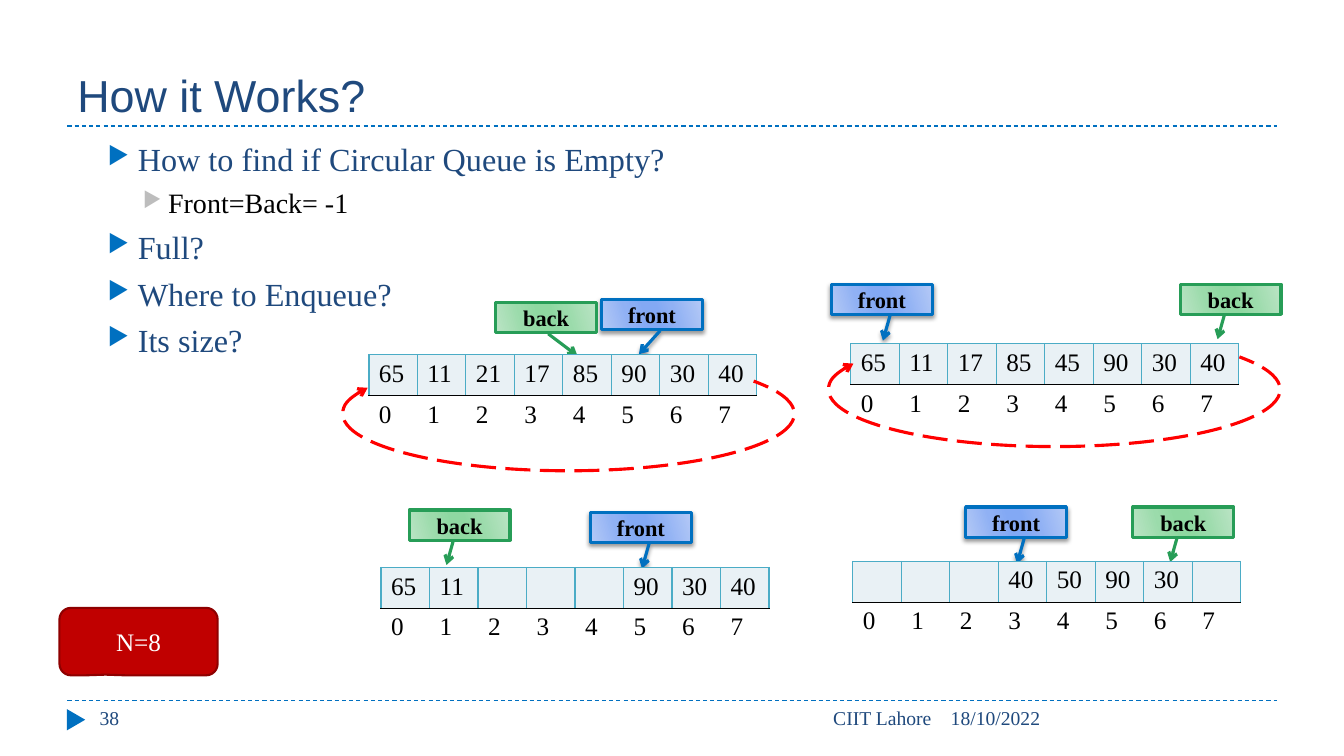
from lxml.etree import SubElement
from pptx import Presentation
from pptx.dml.color import RGBColor
from pptx.enum.dml import MSO_LINE
from pptx.enum.shapes import MSO_CONNECTOR, MSO_SHAPE
from pptx.enum.text import MSO_ANCHOR, PP_ALIGN
from pptx.oxml.ns import qn
from pptx.util import Pt

SERIF = "Times New Roman"
COLORS = {
    "navy": "1F497D", "blue": "0070C0", "gray": "BDBDBD", "black": "000000",
    "white": "FFFFFF", "green": "279D57", "cell": "E9F1F5", "teal": "4BACC6",
    "red": "FF0000", "crimson": "C00000", "maroon": "8E0000",
}
TITLE = "How it Works?"
POINTS = [
    (1, "How to find if Circular Queue is Empty?"),
    (2, "Front=Back= -1"),
    (1, "Full?"),
    (1, "Where to Enqueue?"),
    (1, "Its size?"),
]
LEVELS = {
    1: {"margin": 43.2, "indent": -21.6, "bullet": "blue", "size": 23, "color": "navy"},
    2: {"margin": 64.8, "indent": -18, "bullet": "gray", "size": 20, "color": "black"},
}
FOOTERS = [
    ("18/10/2022", 672, 240, PP_ALIGN.LEFT),
    ("CIIT Lahore", 304.6, 367.9, PP_ALIGN.RIGHT),
    ("38", 64.1, 208, PP_ALIGN.LEFT),
]
TAGS = {
    "front": ("blue", ["B4C9F6", "90B1F4", "83A9F4", "83A9F4", "90B1F4", "B4C9F6"]),
    "back": ("green", ["BBE4C5", "9BDBAB", "8FD8A1", "8FD8A1", "9BDBAB", "BBE4C5"]),
}
GRADIENT_STOPS = [0, 30, 45, 55, 73, 100]
FRONT_POINTER = (1.04, 0.42, 1.87, 0.49)
BACK_POINTER = (0.99, 0.56, 1.82, 0.63)
QUEUES = [
    {"at": (263.5, 253.4), "values": [65, 11, 21, 17, 85, 90, 30, 40],
     "arc": (244.8, 254.9),
     "tags": [("front", 429.8, 213.8, (1.04, 0.42, 1.82, 0.63)),
              ("back", 354.2, 216, (1.04, 0.48, 1.77, 0.19))]},
    {"at": (607.7, 245.5), "values": [65, 11, 17, 85, 45, 90, 30, 40],
     "arc": (591.8, 237.6),
     "tags": [("front", 594, 203, FRONT_POINTER), ("back", 843.1, 203, BACK_POINTER)]},
    {"at": (272.2, 405.4), "values": [65, 11, "", "", "", 90, 30, 40],
     "arc": None,
     "tags": [("front", 421.9, 365.8, FRONT_POINTER), ("back", 292.3, 364.3, BACK_POINTER)]},
    {"at": (609.1, 401), "values": ["", "", "", 40, 50, 90, 30, ""],
     "arc": None,
     "tags": [("front", 689.8, 362.2, FRONT_POINTER), ("back", 809.3, 362.2, BACK_POINTER)]},
]
CELL_WIDTH, CELL_HEIGHT = 34.65, 29.2
NO_STYLE = "{2D5ABB26-0587-4C30-8999-92F81FD0307C}"


def rgb(name):
    return RGBColor.from_string(COLORS[name])


def add_run(paragraph, text, size, color, font=SERIF, bold=False):
    run = paragraph.add_run()
    run.text = text
    run.font.name = font
    run.font.size = Pt(size)
    run.font.bold = bold
    run.font.color.rgb = rgb(color)


def add_box(slide, left, top, width, height, anchor=MSO_ANCHOR.TOP):
    box = slide.shapes.add_textbox(Pt(left), Pt(top), Pt(width), Pt(height))
    box.text_frame.word_wrap = True
    box.text_frame.vertical_anchor = anchor
    return box.text_frame


def add_preset(slide, kind, left, top, width, height, adjustments=()):
    shape = slide.shapes.add_shape(kind, Pt(left), Pt(top), Pt(width), Pt(height))
    shape.shadow.inherit = False
    for index, value in enumerate(adjustments):
        shape.adjustments[index] = value
    return shape


def set_line(shape, color, width):
    shape.line.color.rgb = rgb(color)
    shape.line.width = Pt(width)


def set_label(shape, text, size, color, bold=False):
    shape.text_frame.vertical_anchor = MSO_ANCHOR.MIDDLE
    paragraph = shape.text_frame.paragraphs[0]
    paragraph.alignment = PP_ALIGN.CENTER
    add_run(paragraph, text, size, color, bold=bold)


def add_rule(slide, y):
    rule = slide.shapes.add_connector(MSO_CONNECTOR.STRAIGHT, Pt(48.2), Pt(y), Pt(912.2), Pt(y))
    set_line(rule, "blue", 0.75)
    rule.line.dash_style = MSO_LINE.DASH
    SubElement(rule._element.spPr, qn("a:effectLst"))


def add_points(slide):
    frame = add_box(slide, 48.2, 95.8, 864, 388.8)
    for index, (level, text) in enumerate(POINTS):
        style = LEVELS[level]
        paragraph = frame.paragraphs[0] if index == 0 else frame.add_paragraph()
        if index:
            paragraph.space_before = Pt(5.75)
        properties = paragraph._p.get_or_add_pPr()
        properties.set("marL", str(Pt(style["margin"])))
        properties.set("indent", str(Pt(style["indent"])))
        bullet_color = SubElement(properties, qn("a:buClr"))
        SubElement(bullet_color, qn("a:srgbClr"), val=COLORS[style["bullet"]])
        SubElement(properties, qn("a:buSzPct"), val="76000")
        SubElement(properties, qn("a:buChar"), char="▶")
        add_run(paragraph, text, style["size"], style["color"])


def add_tag(slide, text, left, top, pointer):
    color, shades = TAGS[text]
    tag = add_preset(slide, MSO_SHAPE.LINE_CALLOUT_1, left, top, 72, 21.6, pointer)
    properties = tag._element.spPr
    properties.find(qn("a:xfrm")).set("flipH", "1")
    tag.fill.gradient()
    tag.fill.gradient_angle = 344
    stops = properties.find(qn("a:gradFill")).find(qn("a:gsLst"))
    for stop in list(stops):
        stops.remove(stop)
    for position, shade in zip(GRADIENT_STOPS, shades):
        stop = SubElement(stops, qn("a:gs"), pos=str(position * 1000))
        SubElement(stop, qn("a:srgbClr"), val=shade)
    set_line(tag, color, 2.25)
    SubElement(properties.find(qn("a:ln")), qn("a:tailEnd"), type="arrow")
    if text == "front":
        shadow = SubElement(properties.find(qn("a:effectLst")), qn("a:outerShdw"),
                            blurRad=str(Pt(3)), dist=str(Pt(2)), dir="5400000", rotWithShape="0")
        shadow_color = SubElement(shadow, qn("a:srgbClr"), val=COLORS["black"])
        SubElement(shadow_color, qn("a:alpha"), val="40000")
    set_label(tag, text, 16, "black", bold=True)


def add_border(cell, side, color):
    border = SubElement(cell._tc.get_or_add_tcPr(), qn("a:" + side), w=str(Pt(1)))
    fill = SubElement(border, qn("a:solidFill"))
    SubElement(fill, qn("a:srgbClr"), val=COLORS[color])


def add_queue(slide, left, top, values):
    count = len(values)
    frame = slide.shapes.add_table(2, count, Pt(left), Pt(top),
                                   Pt(CELL_WIDTH * count), Pt(CELL_HEIGHT * 2))
    table = frame.table
    table.first_row = table.horz_banding = False
    table._tbl.tblPr.find(qn("a:tableStyleId")).text = NO_STYLE
    for column in table.columns:
        column.width = Pt(CELL_WIDTH)
    for row_index, row_values in enumerate((values, range(count))):
        table.rows[row_index].height = Pt(CELL_HEIGHT)
        for column_index, value in enumerate(row_values):
            cell = table.cell(row_index, column_index)
            if row_index == 0:
                for side in ("lnL", "lnR", "lnT"):
                    add_border(cell, side, "teal")
                add_border(cell, "lnB", "black")
                cell.fill.solid()
                cell.fill.fore_color.rgb = rgb("cell")
            else:
                add_border(cell, "lnT", "black")
                cell.fill.background()
            if value != "":
                add_run(cell.text_frame.paragraphs[0], str(value), 18, "black")


def add_wrap_arrow(slide, left, top):
    arc = add_preset(slide, MSO_SHAPE.ARC, left, top, 322.6, 81.4, (103.57, 6))
    arc._element.spPr.find(qn("a:xfrm")).set("flipV", "1")
    arc.fill.background()
    set_line(arc, "red", 2.25)
    arc.line.dash_style = MSO_LINE.LONG_DASH
    SubElement(arc._element.spPr.find(qn("a:ln")), qn("a:headEnd"), type="arrow")


def main():
    presentation = Presentation()
    presentation.slide_width, presentation.slide_height = Pt(960), Pt(540)
    slide = presentation.slides.add_slide(presentation.slide_layouts[6])
    for y in (500.4, 90):
        add_rule(slide, y)
    marker = add_preset(slide, MSO_SHAPE.ISOSCELES_TRIANGLE, 46.8, 507.6, 15.1, 13)
    marker.rotation = 90
    marker.fill.solid()
    marker.fill.fore_color.rgb = rgb("blue")
    marker.line.fill.background()
    title = add_box(slide, 48.2, 12.2, 864, 77.8, MSO_ANCHOR.BOTTOM)
    add_run(title.paragraphs[0], TITLE, 32, "navy", font="Arial")
    for text, left, width, alignment in FOOTERS:
        paragraph = add_box(slide, left, 500.4, width, 28.8).paragraphs[0]
        paragraph.alignment = alignment
        add_run(paragraph, text, 14, "navy")
    add_points(slide)
    for queue in QUEUES:
        for tag in queue["tags"]:
            add_tag(slide, *tag)
        add_queue(slide, *queue["at"], queue["values"])
        if queue["arc"]:
            add_wrap_arrow(slide, *queue["arc"])
    size_note = add_preset(slide, MSO_SHAPE.ROUNDED_RECTANGULAR_CALLOUT,
                           42.5, 434.2, 113, 48.2, (-0.21, 0.49, 0.17))
    size_note.fill.solid()
    size_note.fill.fore_color.rgb = rgb("crimson")
    set_line(size_note, "maroon", 1.5)
    set_label(size_note, "N=8", 18, "white")
    presentation.save("out.pptx")


if __name__ == "__main__":
    main()
